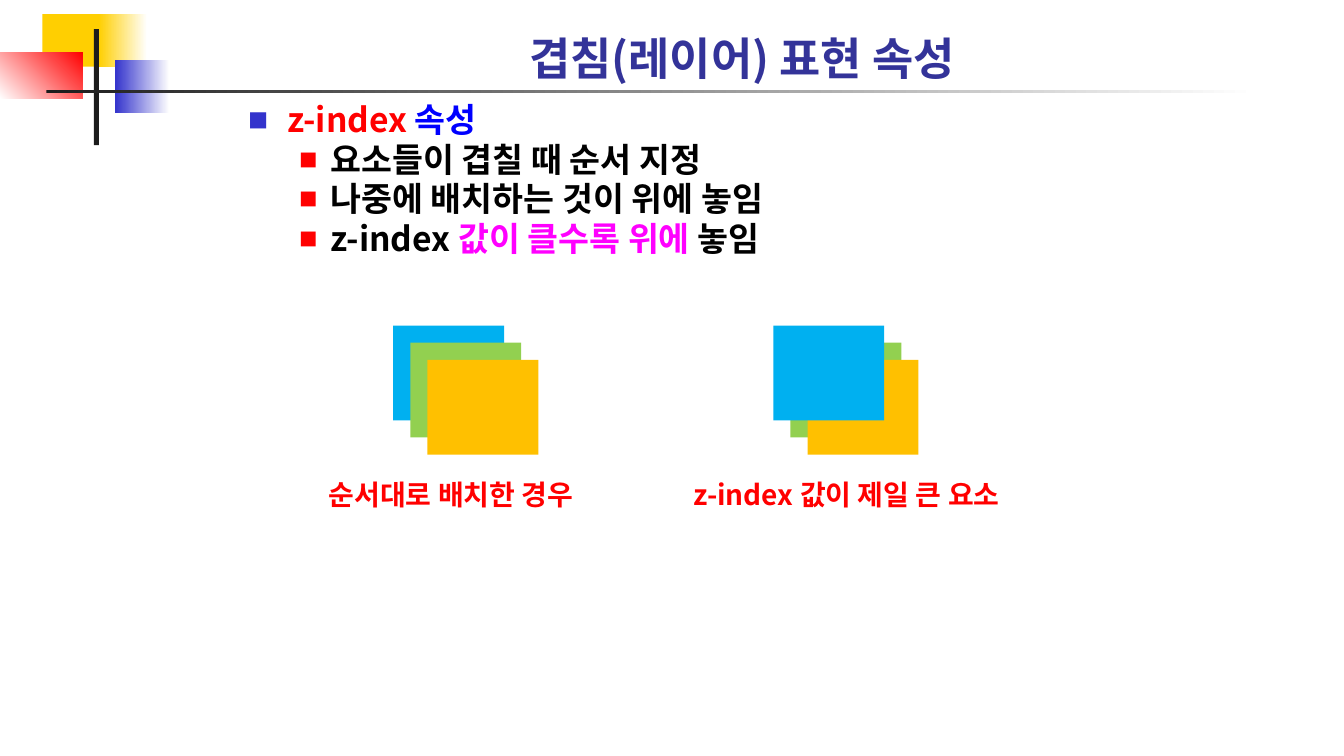
"""Build the slide on the layering (z-index) property."""
from lxml import etree
from pptx import Presentation
from pptx.dml.color import RGBColor as RGB
from pptx.enum.shapes import MSO_SHAPE as SHAPE
from pptx.enum.text import MSO_ANCHOR as ANCHOR, MSO_AUTO_SIZE as AUTO, PP_ALIGN as ALIGN
from pptx.oxml.ns import qn
from pptx.util import Inches, Pt

FONT = "Noto Sans CJK KR"
C = {
    "gold": "FFCF01", "indigo": "3333CC", "red": "FF0000", "dark": "1C1C1C",
    "white": "FFFFFF", "navy": "333399", "blue": "0000FF", "black": "000000",
    "pink": "FF00FF", "sky": "00B0F0", "green": "92D050", "amber": "FFC000",
}

prs = Presentation()
prs.slide_width, prs.slide_height = Inches(13.33), Inches(7.5)
s = prs.slides.add_slide(prs.slide_layouts[6])


def add_rect(box, colors, angle=0):
    sp = s.shapes.add_shape(SHAPE.RECTANGLE, *map(Inches, box))
    sp.shadow.inherit = False
    sp.line.fill.background()
    if len(colors) == 1:
        sp.fill.solid()
        sp.fill.fore_color.rgb = RGB.from_string(C[colors[0]])
    else:
        sp.fill.gradient()
        sp.fill.gradient_angle = angle
        for stop, color in zip(sp.fill.gradient_stops, colors):
            stop.color.rgb = RGB.from_string(C[color])


def add_runs(p, runs, size):
    for text, color in runs:
        r = p.add_run()
        r.text = text
        for name, value in {"name": FONT, "size": Pt(size), "bold": True}.items():
            setattr(r.font, name, value)
        r.font.color.rgb = RGB.from_string(C[color])
        etree.SubElement(r.font._element, qn("a:ea"), typeface=FONT)


for box, colors, angle in [
    ((0.42, 0.14, 0.64, 0.52), ["gold"], 0),
    ((0.98, 0.14, 0.48, 0.52), ["gold", "white"], 0),
    ((1.14, 0.6, 0.54, 0.52), ["indigo", "white"], 0),
    ((0, 0.52, 0.82, 0.46), ["white", "red"], 45),
    ((0.93, 0.29, 0.05, 1.15), ["dark"], 0),
    ((0.46, 0.89, 12, 0.03), ["dark", "white"], 0),
]:
    add_rect(box, colors, angle)

title = s.shapes.add_textbox(Inches(1.68), Inches(0.23), Inches(11.36), Inches(0.61))
tf = title.text_frame
for name, value in {"word_wrap": True, "vertical_anchor": ANCHOR.BOTTOM, "margin_bottom": 0}.items():
    setattr(tf, name, value)
p = tf.paragraphs[0]
p.alignment = ALIGN.CENTER
add_runs(p, [("겹침(레이어) 표현 속성", "navy")], 32)

body = s.shapes.add_textbox(Inches(2.37), Inches(0.98), Inches(9.09), Inches(2.21))
tf = body.text_frame
tf.word_wrap = True
levels = [(0.38, -0.38, "indigo", 60), (0.81, -0.31, "red", 55)]
for i, (level, runs) in enumerate([
    (0, [("z-index ", "red"), ("속성", "blue")]),
    (1, [("요소들이 겹칠 때 순서 지정", "black")]),
    (1, [("나중에 배치하는 것이 위에 놓임", "black")]),
    (1, [("z-index ", "black"), ("값이 클수록 위에 ", "pink"), ("놓임", "black")]),
]):
    p = tf.add_paragraph() if i else tf.paragraphs[0]
    margin, indent, color, percent = levels[level]
    for name, value in {"level": level, "line_spacing": 0.9, "space_before": Pt(2.3)}.items():
        setattr(p, name, value)
    pPr = p._p.get_or_add_pPr()
    pPr.set("marL", str(Inches(margin)))
    pPr.set("indent", str(Inches(indent)))
    etree.SubElement(etree.SubElement(pPr, qn("a:buClr")), qn("a:srgbClr"), val=C[color])
    etree.SubElement(pPr, qn("a:buSzPct"), val=str(percent * 1000))
    etree.SubElement(pPr, qn("a:buFont"), typeface=FONT)
    etree.SubElement(pPr, qn("a:buChar"), char="■")
    add_runs(p, runs, 24)

layers = ["sky", "green", "amber"]
for left, order, caption, caption_left, caption_width in [
    (3.9, ["sky", "green", "amber"], "순서대로 배치한 경우", 3.16, 2.92),
    (7.67, ["green", "amber", "sky"], "z-index 값이 제일 큰 요소", 6.78, 3.54),
]:
    for color in order:
        step = 0.17 * layers.index(color)
        add_rect((left + step, 3.23 + step, 1.1, 0.94), [color])
    label = s.shapes.add_textbox(Inches(caption_left), Inches(4.69), Inches(caption_width), Inches(0.44))
    tf = label.text_frame
    for name, value in {"word_wrap": False, "auto_size": AUTO.SHAPE_TO_FIT_TEXT}.items():
        setattr(tf, name, value)
    add_runs(tf.paragraphs[0], [(caption, "red")], 20)

prs.save("out.pptx")
